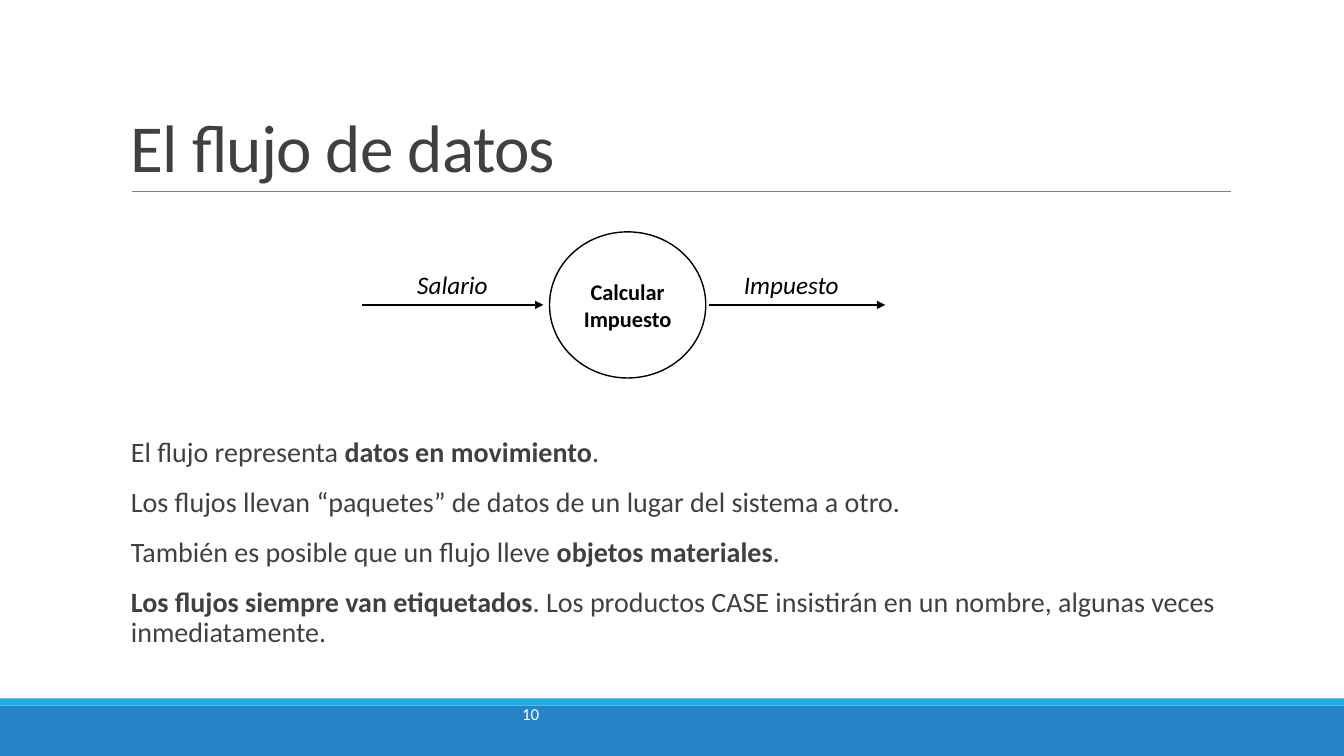
from dataclasses import dataclass

from lxml import etree
from pptx import Presentation, util as u
from pptx.dml.color import RGBColor
from pptx.enum import shapes, text
from pptx.oxml.ns import qn

# Content: a paragraph is a list of (words, bold) runs
TITLE = "El flujo de datos"
PROCESS = ["Calcular", "Impuesto"]
FLOW_IN, FLOW_OUT = "Salario", "Impuesto"
POINTS = [
    [("El flujo representa ", False), ("datos en movimiento", True), (".", False)],
    [("Los flujos llevan “paquetes” de datos de un lugar del sistema a otro.", False)],
    [("También es posible que un flujo lleve ", False),
     ("objetos materiales", True), (".", False)],
    [("Los flujos siempre van etiquetados", True),
     (". Los productos CASE insistirán en un nombre, algunas veces inmediatamente.", False)],
]
PAGE = "10"


@dataclass(frozen=True)
class Theme:
    font: str = "Calibri"
    ink: str = "404040"
    black: str = "000000"
    white: str = "FFFFFF"
    rule: str = "808080"
    band: str = "2683C6"
    stripe: str = "1CADE4"
    title: int = 48
    body: int = 20
    label: int = 18
    process: int = 16
    page: int = 12


T = Theme()
W, H = 13.33, 7.5
LEFT = 1.2                      # left edge of title and body
INSET = 0.1                     # text inset inside its box
BAND_H, STRIPE_H = H / 15, 0.07
RULE_Y = 1.9
BODY_Y = 4.3

# Diagram: circle with one flow on each side
CIRCLE_W, CIRCLE_H = 1.55, 1.45
CIRCLE_X, CIRCLE_Y = 5.45, 2.3
AXIS_Y = CIRCLE_Y + CIRCLE_H / 2
LABEL_W, LABEL_H = 1.5, 0.4
FLOWS = [  # label, label left, arrow start, arrow end
    (FLOW_IN, 4.04, 3.59, 5.39),
    (FLOW_OUT, 7.28, 7.03, 8.78),
]

prs = Presentation()
prs.slide_width, prs.slide_height = u.Inches(W), u.Inches(H)
s = prs.slides.add_slide(prs.slide_layouts[6])


def rgb(code):
    return RGBColor.from_string(code)


def add_shape(kind, x, y, w, h, fill, line=None):
    sp = s.shapes.add_shape(kind, *map(u.Inches, (x, y, w, h)))
    sp.shadow.inherit = False
    sp.fill.solid()
    sp.fill.fore_color.rgb = rgb(fill)
    if line:
        sp.line.color.rgb, sp.line.width = rgb(line), u.Pt(1)
    else:
        sp.line.fill.background()
    return sp


def add_line(x1, x2, y, color, width, arrow=False):
    c = s.shapes.add_connector(shapes.MSO_CONNECTOR.STRAIGHT,
                               *map(u.Inches, (x1, y, x2, y)))
    c.line.color.rgb, c.line.width = rgb(color), u.Pt(width)
    if arrow:
        etree.SubElement(c.line._get_or_add_ln(), qn("a:tailEnd"), type="triangle")
    etree.SubElement(c._element.spPr, qn("a:effectLst"))


def write(sp, paragraphs, size, color, anchor=text.MSO_ANCHOR.TOP, inset=INSET):
    tf = sp.text_frame
    tf.word_wrap, tf.vertical_anchor = True, anchor
    tf.margin_left, tf.margin_right = u.Inches(INSET), u.Inches(inset)
    for i, runs in enumerate(paragraphs):
        p = tf.paragraphs[0] if i == 0 else tf.add_paragraph()
        p.font.name, p.font.size = T.font, u.Pt(size)
        p.font.color.rgb = rgb(color)
        for words, bold in runs:
            r = p.add_run()
            r.text = words
            r.font.name, r.font.size, r.font.bold = T.font, u.Pt(size), bold
            r.font.color.rgb = rgb(color)
    return tf.paragraphs


def add_text(x, y, w, h, *args, **kwargs):
    sp = s.shapes.add_textbox(*map(u.Inches, (x, y, w, h)))
    return write(sp, *args, **kwargs)


# Footer bands and title rule
RECT = shapes.MSO_SHAPE.RECTANGLE
add_shape(RECT, 0, H - BAND_H, W, BAND_H, T.band)
add_shape(RECT, 0, H - BAND_H - STRIPE_H, W, STRIPE_H, T.stripe)
add_line(LEFT + 0.11, 12.21, RULE_Y, T.rule, 0.5)
add_text(5.08, 6.83, 3.17, 0.5, [[(PAGE, False)]], T.page, T.white,
         anchor=text.MSO_ANCHOR.MIDDLE)

# Title
p = add_text(LEFT, 0.31, 11, RULE_Y - 0.31, [[(TITLE, False)]], T.title, T.ink,
             anchor=text.MSO_ANCHOR.BOTTOM)[0]
p.line_spacing = 0.85
p.runs[0].font._element.set("spc", "-50")

# Body
for i, p in enumerate(add_text(LEFT, BODY_Y, 11.13, 2.31, POINTS, T.body, T.ink, inset=0)):
    p.line_spacing = 0.9
    p.space_before, p.space_after = u.Pt(12 if i else 0), u.Pt(2)

# Process circle
circle = add_shape(shapes.MSO_SHAPE.OVAL, CIRCLE_X, CIRCLE_Y, CIRCLE_W, CIRCLE_H,
                   T.white, T.black)
for p in write(circle, [[(word, True)] for word in PROCESS], T.process, T.black,
               anchor=text.MSO_ANCHOR.MIDDLE):
    p.alignment = text.PP_ALIGN.CENTER

# Labelled flows
for name, label_x, start, end in FLOWS:
    add_line(start, end, AXIS_Y, T.black, 1, arrow=True)
    p = add_text(label_x, AXIS_Y - LABEL_H, LABEL_W, LABEL_H, [[(name, False)]],
                 T.label, T.black)[0]
    p.runs[0].font.italic = True

prs.save("out.pptx")
